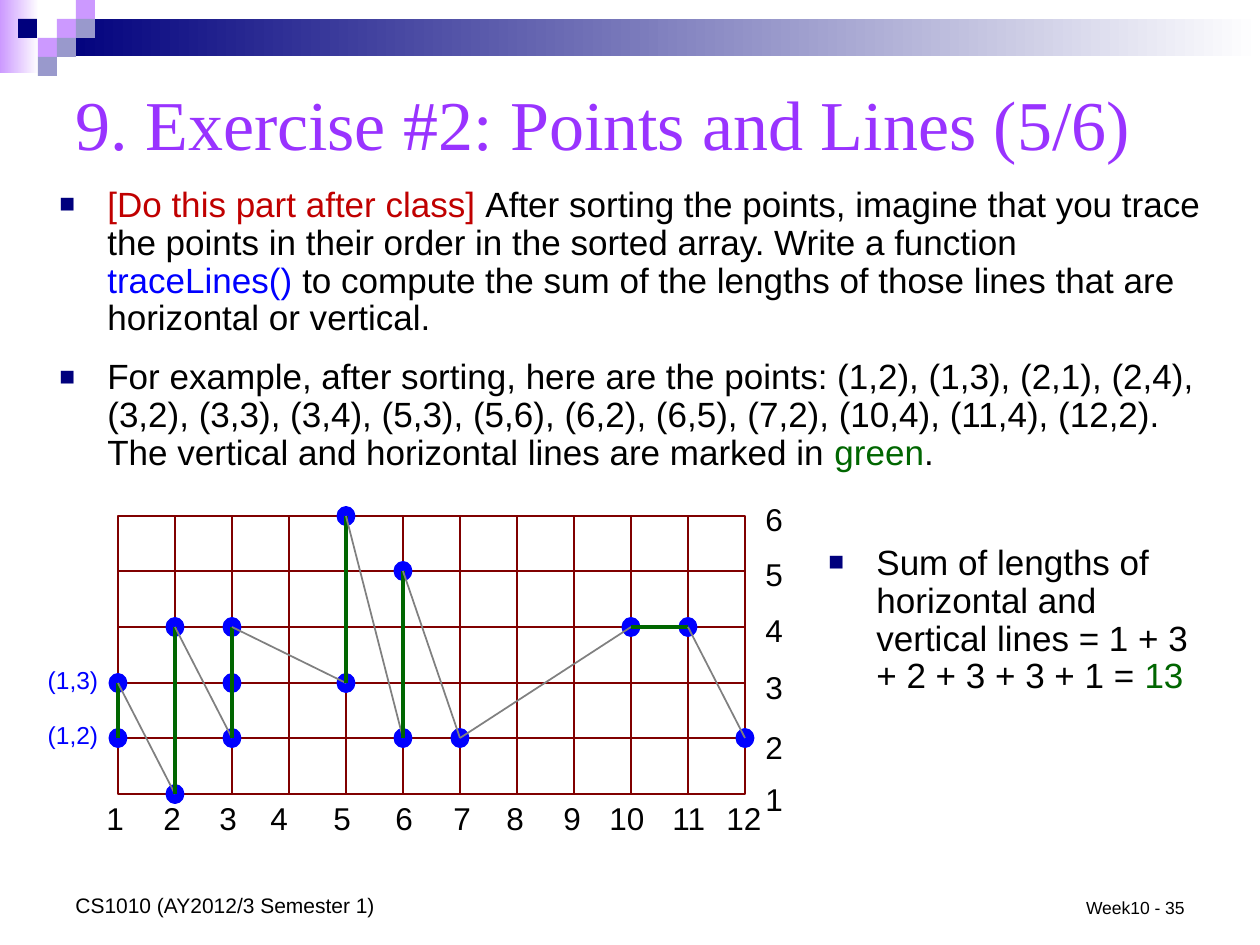
"""Build the slide on tracing lines through sorted points."""
from itertools import product

from lxml.etree import SubElement
from pptx import Presentation
from pptx.dml.color import RGBColor
from pptx.enum.shapes import MSO_CONNECTOR, MSO_SHAPE
from pptx.enum.text import MSO_ANCHOR, PP_ALIGN
from pptx.oxml.ns import qn
from pptx.util import Emu, Pt

PX = 914400 / 126
BLACK = RGBColor(0x00, 0x00, 0x00)
WHITE = RGBColor(0xFF, 0xFF, 0xFF)
NAVY = RGBColor(0x00, 0x00, 0x7D)
LILAC = RGBColor(0xCC, 0x99, 0xFF)
SLATE = RGBColor(0x99, 0x99, 0xCC)
PURPLE = RGBColor(0x99, 0x33, 0xFF)
RED = RGBColor(0xC0, 0x00, 0x00)
BLUE = RGBColor(0x00, 0x00, 0xFF)
GREEN = RGBColor(0x00, 0x66, 0x00)
GRAY = RGBColor(0x80, 0x80, 0x80)
MAROON = RGBColor(0x80, 0x00, 0x00)

TITLE = "9. Exercise #2: Points and Lines (5/6)"
TASK = [
    [("[Do this part after class] ", RED),
     ("After sorting the points, imagine that you trace the points in their order "
      "in the sorted array. Write a function ", BLACK),
     ("traceLines() ", BLUE),
     ("to compute the sum of the lengths of those lines that are horizontal or vertical.",
      BLACK)],
    [("For example, after sorting, here are the points: (1,2), (1,3), (2,1), (2,4), "
      "(3,2), (3,3), (3,4), (5,3), (5,6), (6,2), (6,5), (7,2), (10,4), (11,4), (12,2). "
      "The vertical and horizontal lines are marked in ", BLACK),
     ("green", GREEN), (".", BLACK)],
]
ANSWER = [[("Sum of lengths of horizontal and vertical lines = 1 + 3 + 2 + 3 + 3 + 1 = ",
            BLACK), ("13", GREEN)]]
FOOTER = "CS1010 (AY2012/3 Semester 1)"
PAGE_NUMBER = "Week10 - 35"

POINTS = [(1, 2), (1, 3), (2, 1), (2, 4), (3, 2), (3, 3), (3, 4), (5, 3), (5, 6),
          (6, 2), (6, 5), (7, 2), (10, 4), (11, 4), (12, 2)]
MIDWAY = (3, 3)
UNJOINED = ((6, 5), (7, 2))
NAMED_POINTS = POINTS[:2]
COLUMNS, ROWS = 12, 6
X_LABEL_LEFTS = [94, 151, 207, 258, 321, 383, 441, 494, 551, 597, 660, 714]
Y_LABEL_TOPS = [774, 722, 662, 605, 549, 494]

BANDS = [((0, 0, 39, 73), LILAC), ((57, 19, 1203, 37), NAVY)]
SQUARES = [(57, 19, LILAC), (76, 0, LILAC), (76, 19, SLATE), (38, 38, LILAC),
           (18, 19, NAVY), (57, 38, SLATE), (38, 57, SLATE)]
SQUARE = 19
DOT_WIDTH, DOT_HEIGHT = 15, 16


def px(*lengths):
    return [Emu(round(length * PX)) for length in lengths]


def grid(column, row):
    return 118 + round(57 * (column - 1)), 794 - round(55.7 * (row - 1))


def add_shape(page, kind, frame, fill=None, line=None, width=1):
    shape = page.shapes.add_shape(kind, *px(*frame))
    shape.shadow.inherit = False
    if fill is None:
        shape.fill.background()
    else:
        shape.fill.solid()
        shape.fill.fore_color.rgb = fill
    if line is None:
        shape.line.fill.background()
    else:
        shape.line.color.rgb = line
        shape.line.width = Pt(width)
    return shape


def add_span(paragraph, text, size, color, font="Arial"):
    span = paragraph.add_run()
    span.text = text
    for name, value in {"name": font, "size": Pt(size)}.items():
        setattr(span.font, name, value)
    span.font.color.rgb = color


def add_label(page, frame, text, size, color=BLACK, **formats):
    box = page.shapes.add_textbox(*px(*frame))
    box.text_frame.vertical_anchor = formats.pop("anchor", MSO_ANCHOR.TOP)
    paragraph = box.text_frame.paragraphs[0]
    for name, value in formats.items():
        setattr(paragraph, name, value)
    add_span(paragraph, text, size, color)


def add_bullet(paragraph):
    properties = paragraph._p.get_or_add_pPr()
    properties.set("marL", str(px(48)[0]))
    properties.set("indent", str(px(-48)[0]))
    color = SubElement(properties, qn("a:buClr"))
    SubElement(color, qn("a:srgbClr"), val=str(NAVY))
    SubElement(properties, qn("a:buSzPct"), val="75000")
    SubElement(properties, qn("a:buFont"), typeface="Arial")
    SubElement(properties, qn("a:buChar"), char="■")


def add_bullets(page, frame, items):
    box = page.shapes.add_textbox(*px(*frame))
    box.text_frame.word_wrap = True
    for index, spans in enumerate(items):
        first = index == 0
        paragraph = box.text_frame.paragraphs[0] if first else box.text_frame.add_paragraph()
        add_bullet(paragraph)
        paragraph.line_spacing = 0.9
        paragraph.space_before = Pt(0 if first else 12)
        for text, color in spans:
            add_span(paragraph, text, 20, color)


def add_header(page):
    for frame, color in BANDS:
        band = add_shape(page, MSO_SHAPE.RECTANGLE, frame, color)
        band.fill.gradient()
        band.fill.gradient_angle = 0
        for stop, shade, place in zip(band.fill.gradient_stops, (color, WHITE), (0, 1)):
            stop.color.rgb = shade
            stop.position = place
    for left, top, color in SQUARES:
        add_shape(page, MSO_SHAPE.RECTANGLE, (left, top, SQUARE, SQUARE), color)


def add_title(page):
    title = page.shapes.title
    for name, value in zip(("left", "top", "width", "height"), px(63, 63, 1134, 118)):
        setattr(title, name, value)
    title.text_frame.vertical_anchor = MSO_ANCHOR.MIDDLE
    paragraph = title.text_frame.paragraphs[0]
    paragraph.alignment = PP_ALIGN.LEFT
    add_span(paragraph, TITLE, 40, PURPLE, "Times New Roman")


def add_grid(page):
    for row, column in product(range(1, ROWS), range(1, COLUMNS)):
        left, bottom = grid(column, row)
        right, top = grid(column + 1, row + 1)
        add_shape(page, MSO_SHAPE.RECTANGLE, (left, top, right - left, bottom - top),
                  line=MAROON)
    for number, left in enumerate(X_LABEL_LEFTS, 1):
        add_label(page, (left, 793, 63, 50), str(number), 18)
    for number, top in enumerate(Y_LABEL_TOPS, 1):
        add_label(page, (753, top, 63, 50), str(number), 18)


def add_trace(page):
    for point in POINTS:
        x, y = grid(*point)
        frame = (x - DOT_WIDTH / 2, y - DOT_HEIGHT / 2, DOT_WIDTH, DOT_HEIGHT)
        add_shape(page, MSO_SHAPE.OVAL, frame, BLUE, BLUE, 2.25)
    for column, row in NAMED_POINTS:
        add_label(page, (35, grid(column, row)[1] - 24, 76, 43), f"({column},{row})", 14,
                  BLUE, alignment=PP_ALIGN.CENTER)
    corners = [point for point in POINTS if point != MIDWAY]
    for start, end in zip(corners, corners[1:]):
        straight = start[0] == end[0] or start[1] == end[1]
        line = page.shapes.add_connector(MSO_CONNECTOR.STRAIGHT,
                                         *px(*grid(*start), *grid(*end)))
        line.line.color.rgb = GREEN if straight else GRAY
        line.line.width = Pt(2.25 if straight else 1)
        SubElement(line._element.spPr, qn("a:effectLst"))


def main():
    deck = Presentation()
    deck.slide_width, deck.slide_height = px(1260, 945)
    page = deck.slides.add_slide(deck.slide_layouts[5])
    add_header(page)
    add_title(page)
    add_grid(page)
    add_bullets(page, (47, 181, 1171, 309), TASK)
    add_label(page, (63, 861, 399, 63), FOOTER, 12, anchor=MSO_ANCHOR.BOTTOM)
    add_label(page, (903, 861, 294, 63), PAGE_NUMBER, 10, anchor=MSO_ANCHOR.BOTTOM,
              alignment=PP_ALIGN.RIGHT)
    add_trace(page)
    add_bullets(page, (816, 539, 401, 233), ANSWER)
    deck.save("out.pptx")


if __name__ == "__main__":
    main()
